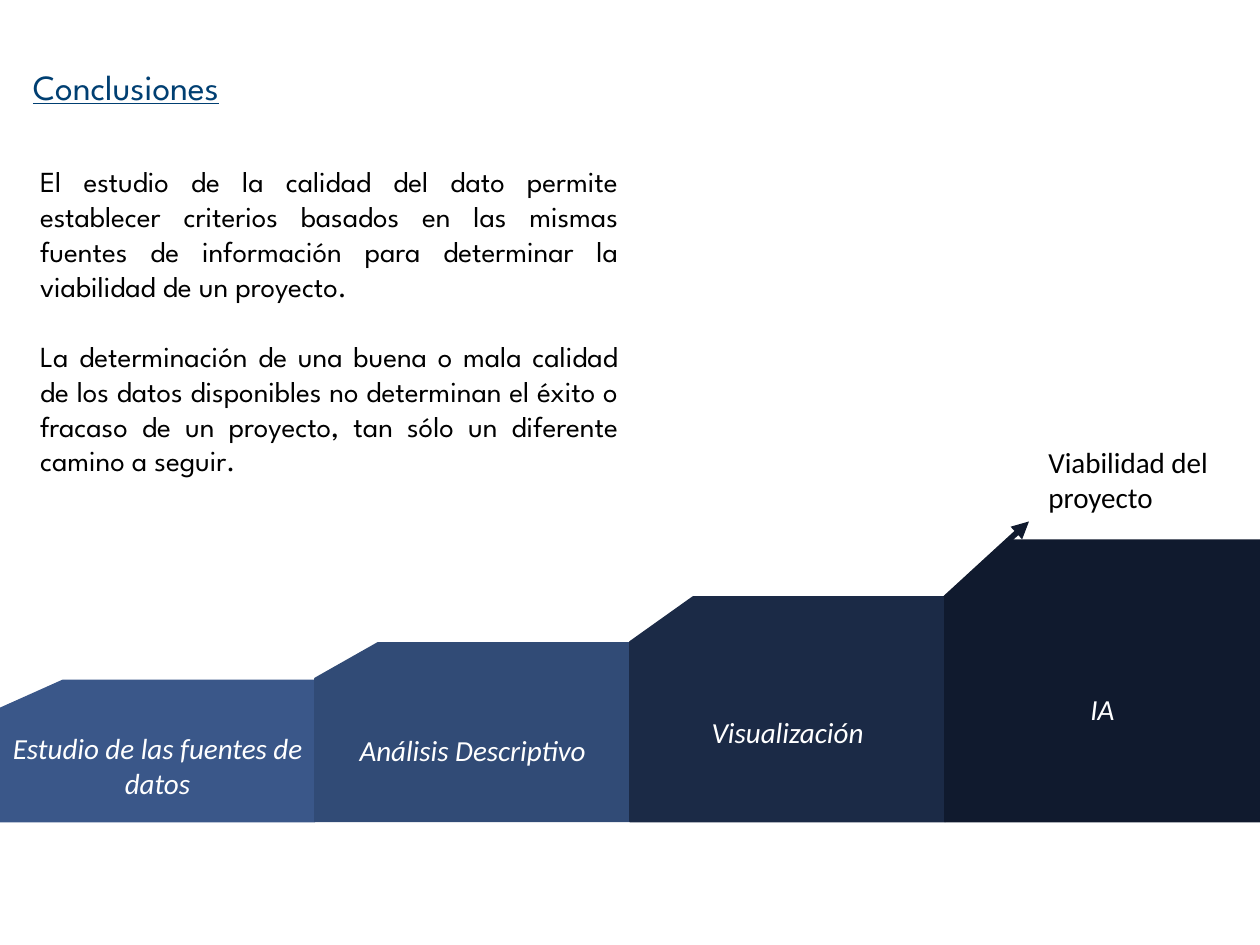
import pptx
import pptx.dml.color
import pptx.enum.shapes
import pptx.enum.text
import pptx.oxml.ns
import pptx.util
from lxml import etree

Pt = pptx.util.Pt
RGBColor = pptx.dml.color.RGBColor
ALIGN = pptx.enum.text.PP_ALIGN
ANCHOR = pptx.enum.text.MSO_ANCHOR
qn = pptx.oxml.ns.qn

WHITE = RGBColor(0xFF, 0xFF, 0xFF)
BLACK = RGBColor(0x00, 0x00, 0x00)
TITLE_BLUE = RGBColor(0x00, 0x3F, 0x72)
NIGHT = RGBColor(0x10, 0x1A, 0x2E)

BODY_SIZE = 16.6
STEP_WIDTH = 180
STEP_BOTTOM = 469.4

# Label, top and colour of each step, from left to right
STEPS = [
    ("Estudio de las fuentes de datos", 388.8, RGBColor(0x3A, 0x57, 0x89)),
    ("Análisis Descriptivo", 367.4, RGBColor(0x31, 0x4B, 0x76)),
    ("Visualización", 341.2, RGBColor(0x1B, 0x2A, 0x46)),
    ("IA", 308.8, NIGHT),
]

CONCLUSIONS = [
    "El estudio de la calidad del dato permite establecer criterios basados en "
    "las mismas fuentes de información para determinar la viabilidad de un proyecto.",
    "La determinación de una buena o mala calidad de los datos disponibles no "
    "determinan el éxito o fracaso de un proyecto, tan sólo un diferente camino a seguir.",
]


def format_text(frame, font_name, size, colour, align, italic=False, underline=False):
    for para in frame.paragraphs:
        para.alignment = align
        for span in para.runs:
            span.font.name = font_name
            span.font.size = Pt(size)
            span.font.color.rgb = colour
            span.font.italic = italic
            span.font.underline = underline


def set_title(page, text):
    title = page.shapes.title
    title.left, title.top, title.width, title.height = Pt(17.3), Pt(36), Pt(547), Pt(43)
    frame = title.text_frame
    frame.text = text
    frame.auto_size = pptx.enum.text.MSO_AUTO_SIZE.NONE
    frame.vertical_anchor = ANCHOR.TOP
    frame.margin_left = frame.margin_right = Pt(1.5)
    frame.margin_top = frame.margin_bottom = Pt(1.5)
    format_text(frame, "League Spartan", 20.2, TITLE_BLUE, ALIGN.LEFT, underline=True)


def add_text(page, left, top, width, height, paragraphs, font_name, align):
    box = page.shapes.add_textbox(Pt(left), Pt(top), Pt(width), Pt(height))
    frame = box.text_frame
    frame.word_wrap = True
    frame.text = "\n".join(paragraphs)
    format_text(frame, font_name, BODY_SIZE, BLACK, align)
    for para in frame.paragraphs[1:]:
        para.space_before = Pt(20)


def add_step(page, left, top, label, colour):
    step = page.shapes.add_shape(
        pptx.enum.shapes.MSO_SHAPE.FLOWCHART_CARD,
        Pt(left), Pt(top), Pt(STEP_WIDTH), Pt(STEP_BOTTOM - top))
    step.shadow.inherit = False
    step.fill.solid()
    step.fill.fore_color.rgb = colour
    step.line.color.rgb = colour
    step.line.width = Pt(1)
    frame = step.text_frame
    frame.word_wrap = True
    frame.vertical_anchor = ANCHOR.MIDDLE
    frame.text = label
    format_text(frame, "Calibri", BODY_SIZE, WHITE, ALIGN.CENTER, italic=True)


def add_arrow(page, start_x, start_y, end_x, end_y, colour):
    arrow = page.shapes.add_connector(
        pptx.enum.shapes.MSO_CONNECTOR.STRAIGHT,
        Pt(start_x), Pt(start_y), Pt(end_x), Pt(end_y))
    arrow.line.color.rgb = colour
    arrow.line.width = Pt(3.25)
    # Arrowhead, and no shadow from the theme
    etree.SubElement(arrow.line._get_or_add_ln(), qn("a:tailEnd"), type="triangle")
    etree.SubElement(arrow._element.spPr, qn("a:effectLst"))


def main():
    deck = pptx.Presentation()
    deck.slide_width, deck.slide_height = Pt(720), Pt(540)
    page = deck.slides.add_slide(deck.slide_layouts[5])

    # Staircase of project stages
    for index, (label, top, colour) in enumerate(STEPS):
        add_step(page, index * STEP_WIDTH, top, label, colour)

    # Arrow along the last slope, and the goal it points to
    add_arrow(page, 3 * STEP_WIDTH, 342, 588, 298, NIGHT)
    add_text(page, 592, 250.6, 121.7, 47.5, ["Viabilidad del proyecto"], "Calibri", ALIGN.LEFT)

    # Title and conclusions
    add_text(page, 15.8, 90, 344.2, 229, CONCLUSIONS, "League Spartan", ALIGN.JUSTIFY)
    set_title(page, "Conclusiones")

    deck.save("out.pptx")


if __name__ == "__main__":
    main()
